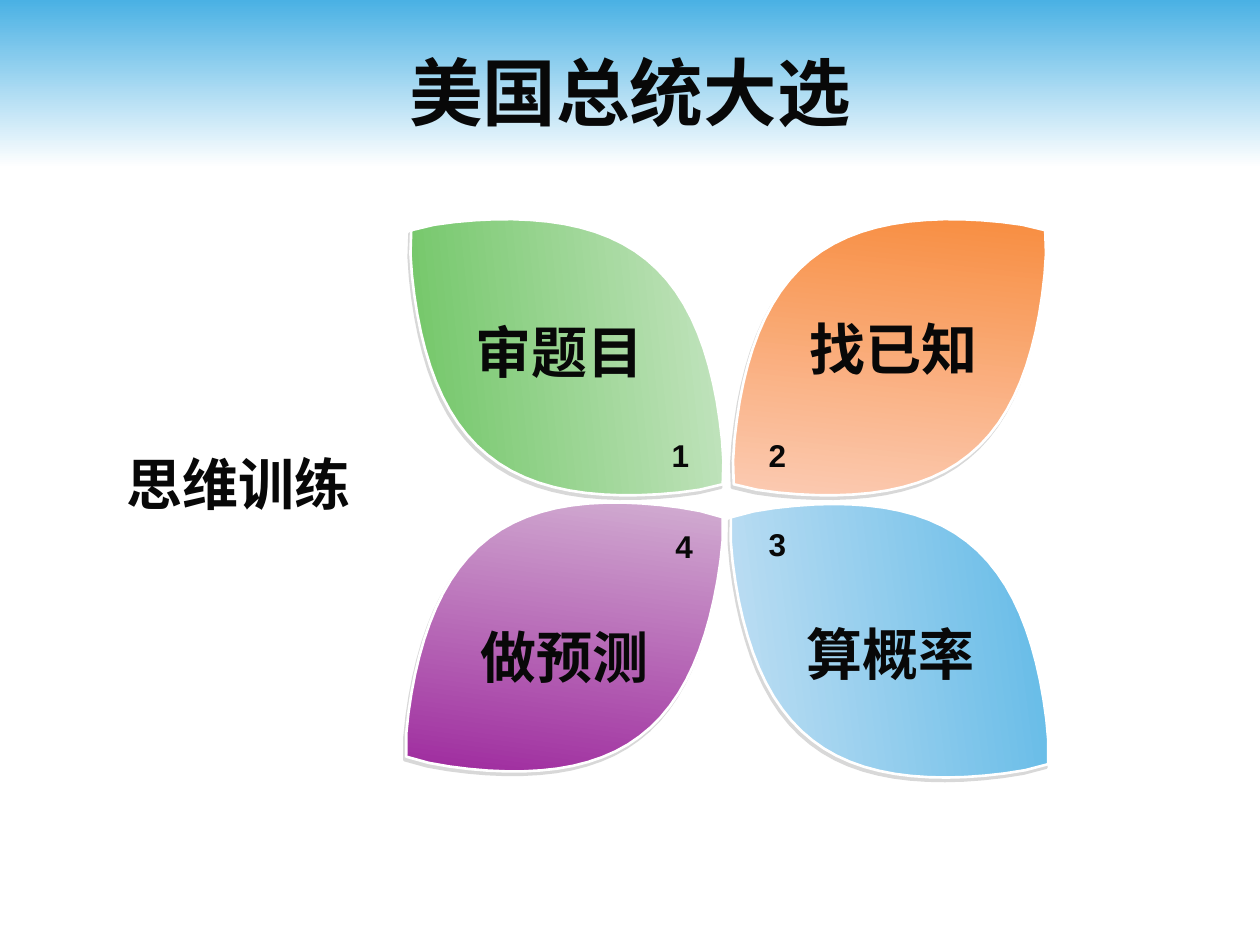
from math import pi, sin

from lxml import etree
from pptx import Presentation
from pptx.dml.color import RGBColor
from pptx.enum.shapes import MSO_SHAPE
from pptx.enum.text import MSO_ANCHOR, MSO_AUTO_SIZE, PP_ALIGN
from pptx.oxml.ns import qn
from pptx.util import Inches, Pt

RECT = MSO_SHAPE.RECTANGLE
TOP, MIDDLE = MSO_ANCHOR.TOP, MSO_ANCHOR.MIDDLE
CENTER = PP_ALIGN.CENTER
GROW = MSO_AUTO_SIZE.SHAPE_TO_FIT_TEXT

INK = RGBColor(0x08, 0x08, 0x08)
WHITE = RGBColor(0xFF, 0xFF, 0xFF)
SKY = RGBColor(0x4A, 0xB1, 0xE4)
PALE_SKY = RGBColor(0xD8, 0xE8, 0xF6)
ORANGE = RGBColor(0xF7, 0x7A, 0x1D)
PEACH = RGBColor(0xFC, 0xDE, 0xD6)
PURPLE = RGBColor(0x8F, 0x03, 0x8F)
LILAC = RGBColor(0xE1, 0xD5, 0xE1)
GREEN = RGBColor(0x5B, 0xBE, 0x4E)
MINT = RGBColor(0xDA, 0xEC, 0xD8)
SHADOW = RGBColor(0xB2, 0xB2, 0xB2)

LATIN, CJK = "Arial", "Noto Sans CJK SC"

HEADINGS = [
    ("美国总统大选", (0.5, 0.25, 9, 0.95), 42),
    ("思维训练", (-1.06, 3.36, 5.91, 0.95), 32),
]
PETALS = [
    ((6.06, 1.24, 2, 3.19), 50.8, True, 315, (PEACH, ORANGE)),
    ((3.49, 3.48, 1.98, 3.15), 52.9, True, 315, (PURPLE, LILAC)),
    ((6.06, 3.49, 2, 3.19), 307.9, False, 45, (PALE_SKY, SKY)),
    ((3.5, 1.24, 2, 3.19), 309.2, False, 45, (GREEN, MINT)),
]
LABELS = [
    ("审题目", 3.54, 2.47),
    ("找已知", 6.19, 2.45),
    ("算概率", 6.16, 4.87),
    ("做预测", 3.58, 4.89),
]
NUMBERS = [("1", 5.23, 3.41), ("2", 6, 3.41), ("3", 6, 4.12), ("4", 5.26, 4.13)]
LABEL_SIZE = (1.81, 0.64)
NUMBER_SIZE = (0.34, 0.4)
STEPS = 28


def fill_gradient(sp, colors, angle):
    sp.fill.gradient()
    sp.fill.gradient_angle = 360 - angle
    for stop, color in zip(sp.fill.gradient_stops, colors):
        stop.color.rgb = color


def add_shadow(sp):
    sp.shadow.inherit = False
    effects = sp._element.spPr.find(qn("a:effectLst"))
    outer = etree.SubElement(effects, qn("a:outerShdw"), blurRad="0",
                             dist=str(Pt(2.2)), dir=str(117 * 60000),
                             algn="ctr", rotWithShape="0")
    color = etree.SubElement(outer, qn("a:srgbClr"), val=str(SHADOW))
    etree.SubElement(color, qn("a:alpha"), val="50000")


def add_petal(shapes, box, rotation, flipped, angle, colors):
    x, y, w, h = box
    middle = x + w / 2
    profile = [(w / 2 * abs(sin(pi * i / STEPS)) ** 0.87, y + h * i / STEPS)
               for i in range(STEPS + 1)]
    right = [(middle + half, py) for half, py in profile]
    left = [(middle - half, py) for half, py in profile[-2:0:-1]]
    points = [(Inches(px), Inches(py)) for px, py in right + left]
    builder = shapes.build_freeform(*points[0])
    builder.add_line_segments(points[1:], close=True)
    sp = builder.convert_to_shape()
    sp.rotation = rotation
    if flipped:
        sp._element.spPr.xfrm.set("flipH", "1")
    fill_gradient(sp, colors, angle)
    sp.line.color.rgb = WHITE
    sp.line.width = Pt(1.5)
    add_shadow(sp)


def add_text(shapes, text, box, size, font, **frame):
    tf = shapes.add_textbox(*map(Inches, box)).text_frame
    for name, value in frame.items():
        setattr(tf, name, value)
    p = tf.paragraphs[0]
    p.alignment = CENTER
    r = p.add_run()
    r.text = text
    for name, value in {"name": font, "size": Pt(size), "bold": True}.items():
        setattr(r.font, name, value)
    r.font.color.rgb = INK
    etree.SubElement(r._r.get_or_add_rPr(), qn("a:ea"), typeface=CJK)


def main():
    prs = Presentation()
    prs.slide_width, prs.slide_height = Inches(10), Inches(7.5)
    s = prs.slides.add_slide(prs.slide_layouts[6])

    band = s.shapes.add_shape(RECT, 0, 0, prs.slide_width, Inches(1.33))
    band.shadow.inherit = False
    band.line.fill.background()
    fill_gradient(band, (SKY, WHITE), 90)

    for petal in PETALS:
        add_petal(s.shapes, *petal)
    for text, box, size in HEADINGS:
        add_text(s.shapes, text, box, size, LATIN,
                 word_wrap=True, vertical_anchor=MIDDLE)
    for items, box_size, size, font, wrap in (
        (LABELS, LABEL_SIZE, 32, CJK, True),
        (NUMBERS, NUMBER_SIZE, 18, LATIN, False),
    ):
        for text, x, y in items:
            add_text(s.shapes, text, (x, y, *box_size), size, font,
                     word_wrap=wrap, vertical_anchor=TOP, auto_size=GROW)

    prs.save("out.pptx")


if __name__ == "__main__":
    main()
